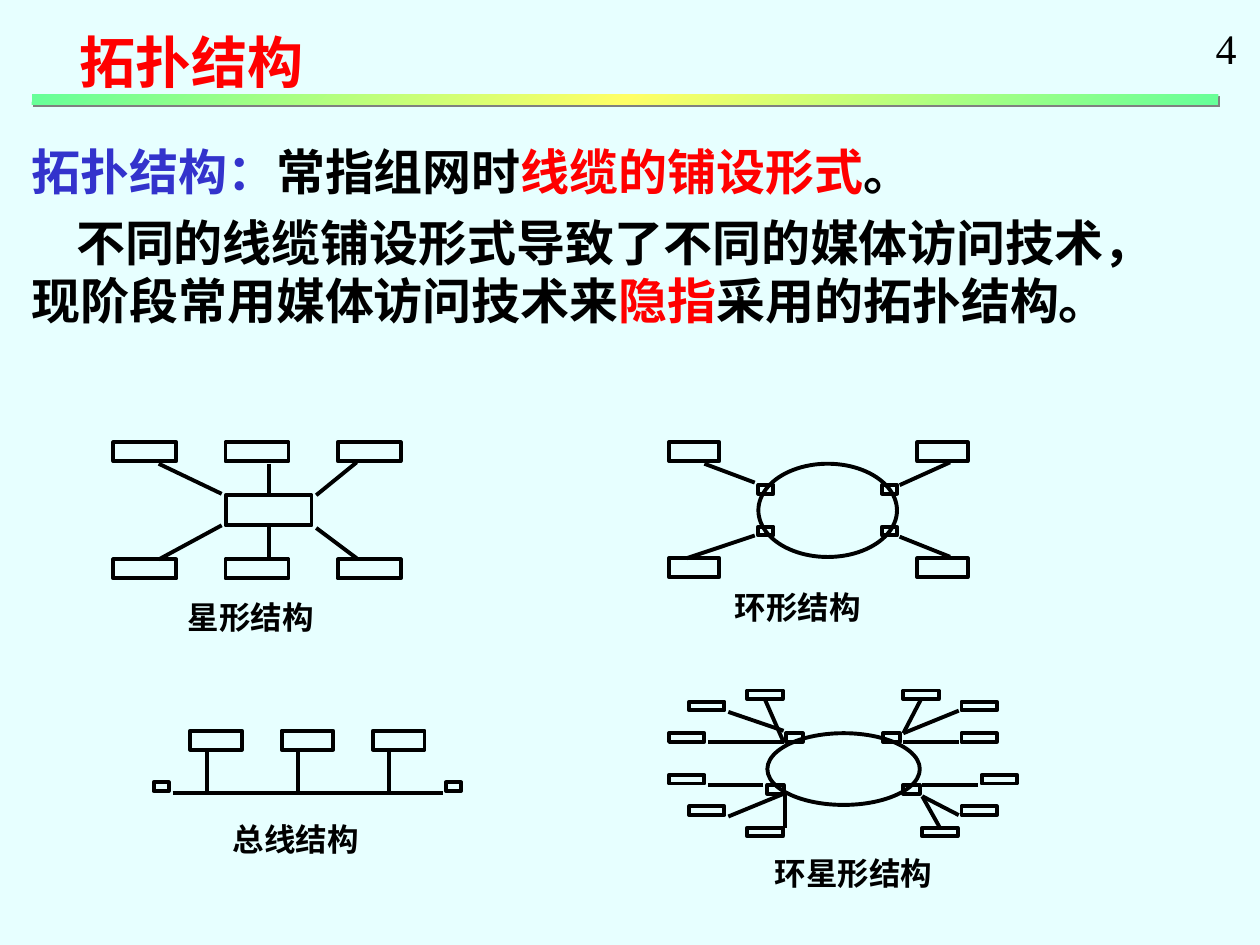
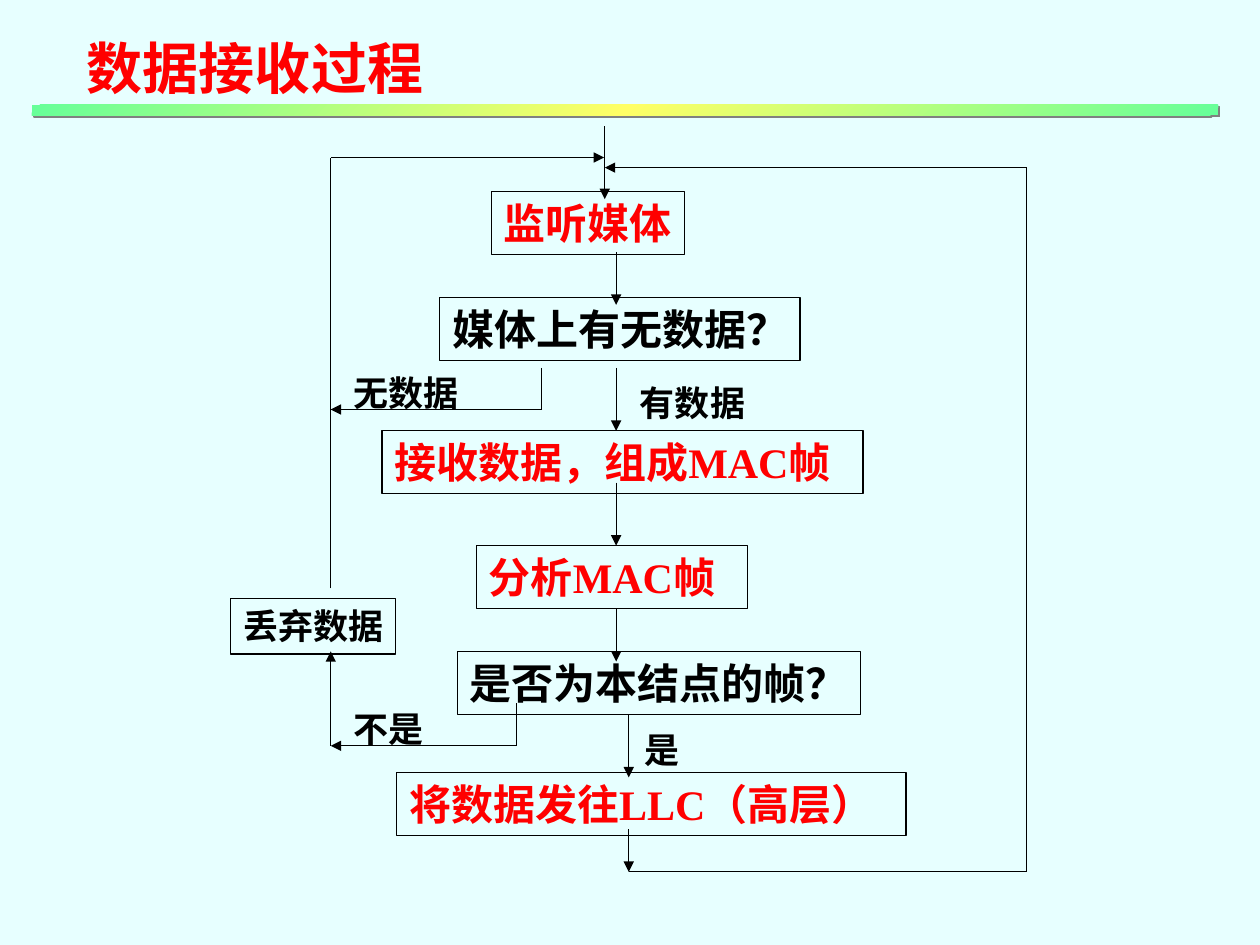
import itertools

import lxml.etree
import pptx
import pptx.dml.color
import pptx.enum.lang
import pptx.enum.shapes
import pptx.enum.text
import pptx.oxml.ns
import pptx.util

Pt = pptx.util.Pt
qn = pptx.oxml.ns.qn
SHAPE = pptx.enum.shapes.MSO_SHAPE

PAPER, BLACK, RED, BLUE = "E7FFFF", "000000", "FF0000", "3333CC"
BAND_ENDS, BAND_MIDDLE, BAND_SHADOW = "66FF99", "FFFF66", "808080"
CJK, SERIF = "Noto Sans CJK SC", "Times New Roman"
DIAGRAM_LINE, FLOW_LINE = 2.25, 0.75
TOP, BOTTOM = 0, 2


def rgb(value):
    return pptx.dml.color.RGBColor.from_string(value)


def sub(parent, tag, **attributes):
    return lxml.etree.SubElement(parent, qn(tag), attributes)


def place(shape, left, top, width, height):
    shape.left, shape.top = Pt(left), Pt(top)
    shape.width, shape.height = Pt(width), Pt(height)


def add_run(paragraph, text, size, color=BLACK, font=CJK, bold=True):
    run = paragraph.add_run()
    run.text = text
    run.font.name, run.font.size, run.font.bold = font, Pt(size), bold
    run.font.color.rgb = rgb(color)
    run.font.language_id = pptx.enum.lang.MSO_LANGUAGE_ID.SIMPLIFIED_CHINESE
    sub(run.font._element, "a:ea", typeface=CJK)


def set_frame(shape, wrap):
    """Start text at the top left and return the first paragraph."""
    frame = shape.text_frame
    frame.word_wrap = wrap
    frame.auto_size = pptx.enum.text.MSO_AUTO_SIZE.NONE
    frame.vertical_anchor = pptx.enum.text.MSO_ANCHOR.TOP
    frame.paragraphs[0].alignment = pptx.enum.text.PP_ALIGN.LEFT
    return frame.paragraphs[0]


def add_title(slide, text, left, top, font):
    title = slide.shapes.title
    place(title, left, top, 227, 46)
    add_run(set_frame(title, False), text, 32, RED, font)


def add_band(slide, top):
    """Draw the gradient rule with its hard shadow under the title."""
    band = slide.shapes.add_shape(SHAPE.RECTANGLE, Pt(18), Pt(top), Pt(678.2), Pt(6))
    band.line.fill.background()
    properties = band._element.spPr
    gradient = lxml.etree.Element(qn("a:gradFill"), rotWithShape="1")
    stops = sub(gradient, "a:gsLst")
    for position, color in ((0, BAND_ENDS), (50, BAND_MIDDLE), (100, BAND_ENDS)):
        stop = sub(stops, "a:gs", pos=str(position * 1000))
        sub(stop, "a:srgbClr", val=color)
    sub(gradient, "a:lin", ang="2700000", scaled="1")
    properties.find(qn("a:prstGeom")).addnext(gradient)
    shadow = sub(sub(properties, "a:effectLst"), "a:outerShdw",
                 dist=str(Pt(1.4)), dir="2700000", algn="ctr", rotWithShape="0")
    sub(shadow, "a:srgbClr", val=BAND_SHADOW)


def add_label(shapes, text, left, top, width, height, size=18, font=CJK, bold=True):
    label = shapes.add_textbox(Pt(left), Pt(top), Pt(width), Pt(height))
    add_run(set_frame(label, False), text, size, BLACK, font, bold)


def add_outline(shapes, left, top, width, height, kind=SHAPE.RECTANGLE,
                weight=DIAGRAM_LINE):
    outline = shapes.add_shape(kind, Pt(left), Pt(top), Pt(width), Pt(height))
    outline.shadow.inherit = False
    outline.fill.background()
    outline.line.color.rgb = rgb(BLACK)
    outline.line.width = Pt(weight)
    return outline


def add_step(shapes, text, left, top, width, color=BLACK, size=24, height=36):
    step = add_outline(shapes, left, top, width, height, weight=FLOW_LINE)
    add_run(set_frame(step, False), text, size, color, SERIF)


def add_line(shapes, start, end, weight=DIAGRAM_LINE, arrow=False):
    line = shapes.add_connector(pptx.enum.shapes.MSO_CONNECTOR.STRAIGHT,
                                *(Pt(value) for value in (*start, *end)))
    line.line.color.rgb = rgb(BLACK)
    line.line.width = Pt(weight)
    if arrow:
        sub(line.line._get_or_add_ln(), "a:tailEnd", type="triangle")
    sub(line._element.spPr, "a:effectLst")
    return line


def add_route(shapes, *points, arrow=True):
    """Join the points with straight legs; the arrowhead sits on the last one."""
    for start, end in itertools.pairwise(points):
        add_line(shapes, start, end, FLOW_LINE, arrow and end == points[-1])


def add_body(slide):
    body = slide.placeholders[1]
    place(body, 10.8, 77, 649.4, 150)
    definition = set_frame(body, True)
    explanation = body.text_frame.add_paragraph()
    texts = (
        (definition, 0, (("拓扑结构：", BLUE), ("常指组网时", BLACK),
                         ("线缆的铺设形式", RED), ("。", BLACK))),
        (explanation, 25.5, (
            ("不同的线缆铺设形式导致了不同的媒体访问技术，现阶段常用媒体访问技术来", BLACK),
            ("隐指", RED), ("采用的拓扑结构。", BLACK))),
    )
    for paragraph, indent, parts in texts:
        paragraph.space_before = Pt(7)
        properties = paragraph._p.get_or_add_pPr()
        properties.set("marL", "0")
        properties.set("indent", str(Pt(indent)))
        sub(properties, "a:buNone")
        for text, color in parts:
            add_run(paragraph, text, 28, color)


def draw_star(shapes):
    hub = add_outline(shapes, 129, 283, 49, 17.3)
    for column, top in itertools.product(range(3), (252.7, 319.7)):
        add_outline(shapes, 64.8 + 64.1 * column, top, 36, 10.8)
    for start, end in (((90.7, 265), (126.7, 282.2)), ((180.7, 283), (203.8, 264.2)),
                       ((180.7, 301.7), (203.8, 319)), ((90.7, 319.7), (126.7, 300.2))):
        add_line(shapes, start, end)
    for outer, inner, side in ((265, 283, TOP), (319, 300.3, BOTTOM)):
        add_line(shapes, (153.5, outer), (153.5, inner)).end_connect(hub, side)
    add_label(shapes, "星形结构", 100.1, 338.4, 86.4, 28.8)


def draw_bus(shapes):
    add_line(shapes, (98.6, 452.9), (253.4, 452.9))
    for left in (87.8, 254.9):
        add_outline(shapes, left, 447.1, 8.6, 5)
    for column in range(3):
        left = 108.7 + 52.2 * column
        add_outline(shapes, left, 417.6, 29.5, 10.8)
        add_line(shapes, (left + 9.4, 429.1), (left + 9.4, 452.2))
    add_label(shapes, "总线结构", 126, 465.1, 86.4, 28.8)


def draw_ring(shapes):
    add_outline(shapes, 433.4, 265, 79.2, 53.3, SHAPE.OVAL)
    for left, top in itertools.product((433.4, 504), (277.2, 301)):
        add_outline(shapes, left, top, 8.6, 5)
    for left, top in itertools.product((382.3, 524.2), (252.7, 319)):
        add_outline(shapes, left, top, 28.8, 10.8)
    for start, end in (((402.5, 265), (431.3, 275.8)), ((392.4, 319), (431.3, 306)),
                       ((514.1, 277.2), (542.9, 264.2)), ((514.1, 306.7), (542.9, 318.2))):
        add_line(shapes, start, end)
    add_label(shapes, "环形结构", 412.8, 332.6, 86.4, 28.8)


def draw_star_ring(shapes):
    add_outline(shapes, 438.5, 419, 87.1, 41, SHAPE.OVAL)
    for left, top in ((449.3, 419), (504.7, 419), (438.5, 448.6), (516.2, 448.6)):
        add_outline(shapes, left, top, 9.4, 5)
    # Station corner, line at the hub, line at the station, joined side
    stations = (
        ((427, 394.6), (447.8, 424.1), (437.1, 399.6), BOTTOM),
        ((393.8, 401), (447.8, 417.6), (416.2, 406.8), None),
        ((382.3, 419), (447.8, 424.1), (404.6, 424.1), None),
        ((516.2, 394.6), (516.2, 419), (526.3, 399.6), BOTTOM),
        ((549.4, 401), (516.2, 419), (547.9, 406.1), None),
        ((549.4, 419), (516.2, 424.1), (547.9, 424.1), None),
        ((382.3, 442.8), (436.3, 448.6), (404.6, 448.6), None),
        ((393.8, 460.8), (447.8, 453.6), (416.2, 466.6), None),
        ((427, 473), (448.6, 453.6), (448.6, 473), None),
        ((560.9, 442.8), (527, 448.6), (558.7, 448.6), None),
        ((549.4, 460.8), (527, 455), (547.9, 465.8), None),
        ((527, 473), (527, 455), (537.1, 473), TOP),
    )
    for corner, hub_end, station_end, side in stations:
        station = add_outline(shapes, *corner, 20.2, 5)
        link = add_line(shapes, hub_end, station_end)
        if side is not None:
            link.end_connect(station, side)
    add_label(shapes, "环星形结构", 435.6, 484.6, 104.4, 28.8)


def draw_receive_flow(shapes):
    for text, left, top, width, color in (
            ("监听媒体", 280.8, 109.4, 110.2, RED),
            ("媒体上有无数据？", 251.3, 169.9, 205.9, BLACK),
            ("接收数据，组成MAC帧", 218.2, 246.2, 275, RED),
            ("分析MAC帧", 272.2, 311.8, 154.8, RED),
            ("是否为本结点的帧？", 261.4, 372.2, 230.4, BLACK),
            ("将数据发往LLC（高层）", 226.8, 441.4, 290.9, RED)):
        add_step(shapes, text, left, top, width, color)
    add_step(shapes, "丢弃数据", 131.8, 342, 94.3, size=20, height=31.7)

    for x, start, end in ((345.6, 72, 113.8), (352.1, 144, 174.2), (352.1, 210.2, 246.2),
                          (352.1, 275.8, 311.8), (352.1, 347.8, 378), (359.3, 408.2, 444.2),
                          (359.3, 473.8, 498.2), (189, 426.2, 372.2)):
        add_route(shapes, (x, start), (x, end))
    add_route(shapes, (309.6, 210.2), (309.6, 234), (189, 234))
    add_route(shapes, (295.2, 401.8), (295.2, 426.2), (189, 426.2))
    add_route(shapes, (189, 336.2), (189, 90), (345.2, 90))
    add_route(shapes, (359.3, 498.2), (586.8, 498.2), (586.8, 95.8), (345.6, 95.8))

    for text, left, top, width in (("有数据", 358.6, 214.6, 74.2), ("无数据", 195.1, 208.8, 74.2),
                                   ("不是", 195.1, 401, 54), ("是", 361.4, 412.6, 34.6)):
        add_label(shapes, text, left, top, width, 31.7, 20, SERIF)


def main():
    deck = pptx.Presentation()
    deck.slide_width, deck.slide_height = Pt(720), Pt(540)
    background = deck.slide_master.background.fill
    background.solid()
    background.fore_color.rgb = rgb(PAPER)

    topology = deck.slides.add_slide(deck.slide_layouts[1])
    add_title(topology, "拓扑结构", 38, 12.2, CJK)
    add_body(topology)
    for draw in (draw_star, draw_bus, draw_ring, draw_star_ring):
        draw(topology.shapes.add_group_shape().shapes)
    add_band(topology, 54)
    add_label(topology.shapes, "4", 687.6, 9.4, 26, 36, 24, SERIF, bold=False)

    receiving = deck.slides.add_slide(deck.slide_layouts[5])
    add_title(receiving, "数据接收过程", 42.5, 15.8, SERIF)
    draw_receive_flow(receiving.shapes.add_group_shape().shapes)
    add_band(receiving, 60)

    deck.save("out.pptx")


if __name__ == "__main__":
    main()
